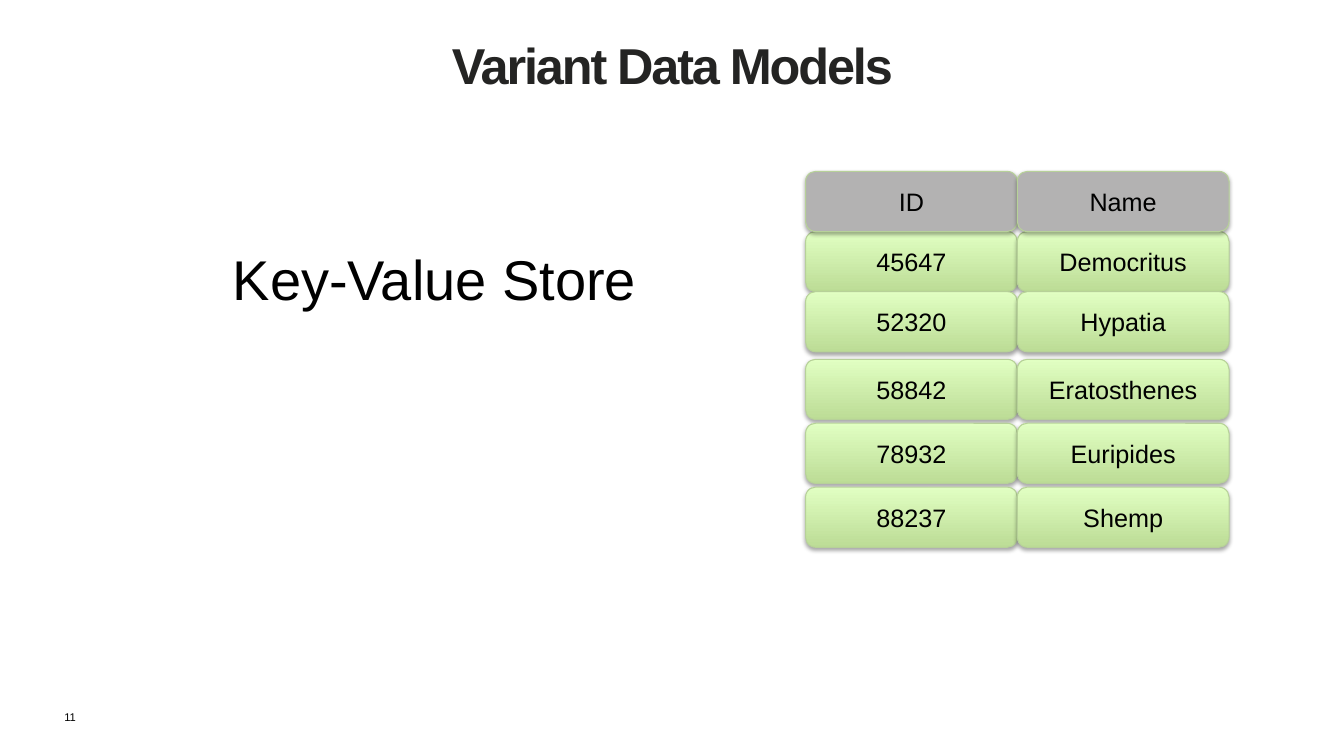
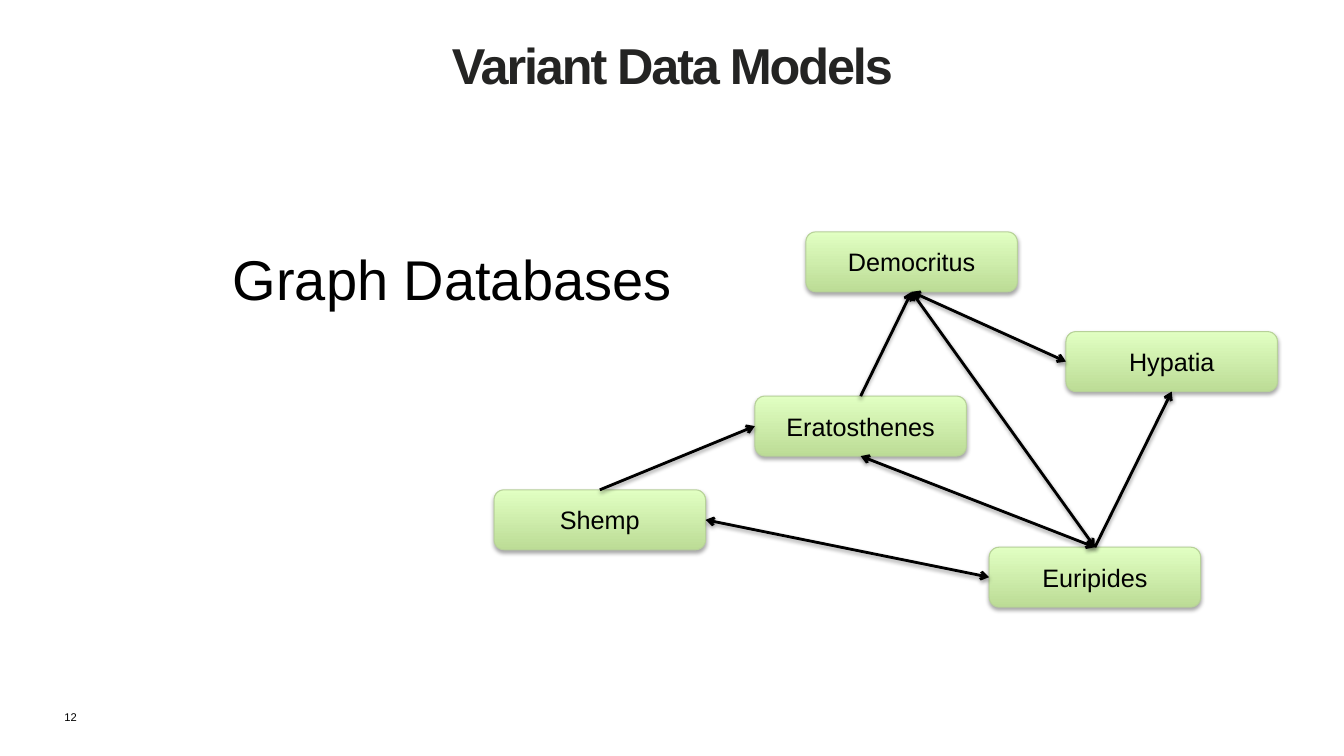
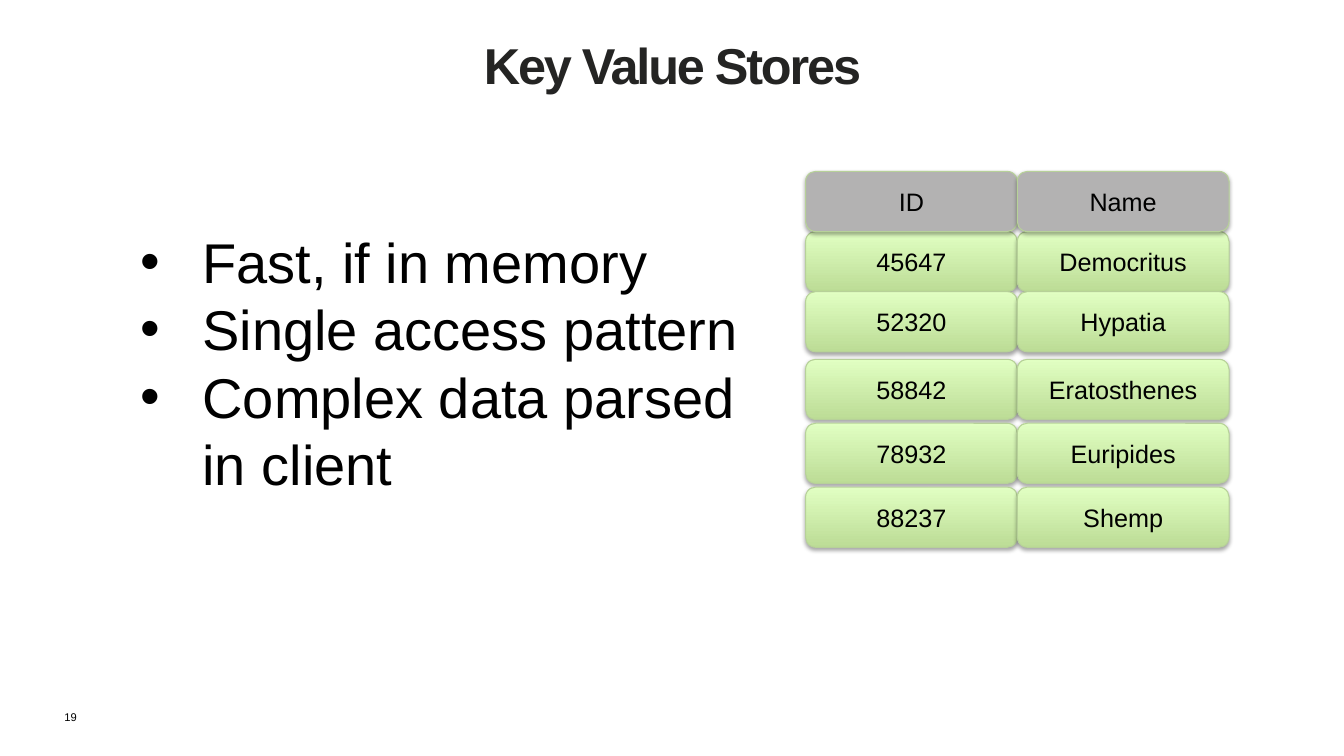
import dataclasses

import pptx
import pptx.dml.color
import pptx.enum.shapes
import pptx.enum.text
import pptx.oxml
import pptx.oxml.ns
import pptx.util

ALIGN = pptx.enum.text.PP_ALIGN
ANCHOR = pptx.enum.text.MSO_ANCHOR
TOP, LEFT, BOTTOM, RIGHT = range(4)


@dataclasses.dataclass(frozen=True)
class Theme:
    font: str = "Arial"
    ink: str = "000000"
    title_ink: str = "242423"
    node_dark: str = "BCDC96"
    node_light: str = "E1FFC2"
    node_edge: str = "B7D199"
    header_fill: str = "B3B2B2"
    title_size: float = 36
    title_tracking: float = -1.5
    body_size: float = 40
    node_size: float = 18
    number_size: float = 8
    edge_width: float = 0.75
    arrow_width: float = 2


@dataclasses.dataclass(frozen=True)
class Box:
    """A rectangle in inches."""
    left: float
    top: float
    width: float
    height: float

    def area(self, left, top, width, height):
        """Return the box at these percentages of this one."""
        return Box(self.left + self.width * left / 100,
                   self.top + self.height * top / 100,
                   self.width * width / 100, self.height * height / 100)

    def emu(self):
        return [pptx.util.Inches(side) for side in dataclasses.astuple(self)]


THEME = Theme()
PAGE = Box(0, 0, 13.33, 7.5)
TITLE = PAGE.area(5.03, 0.13, 90.02, 16.67)
NUMBER = PAGE.area(4.05, 93.33, 3, 3.2)
HEADING = PAGE.area(16.58, 31.73, 36, 10.27)
BULLETS = PAGE.area(9.68, 29.47, 48.31, 37.2)
STORE = PAGE.area(59.94, 22.67, 31.51, 49.73)
GRAPH = PAGE.area(36.76, 30.67, 58.29, 49.6)

PEOPLE = [("45647", "Democritus"), ("52320", "Hypatia"), ("58842", "Eratosthenes"),
          ("78932", "Euripides"), ("88237", "Shemp")]
STORE_ROW_HEIGHT = 16
STORE_ROW_TOPS = [16, 32, 50, 67, 84]

NODE_SIZE = (27, 16)
NODE_CORNERS = {"Eratosthenes": (33.3, 43.8), "Democritus": (39.8, 0), "Hypatia": (73, 26.6),
                "Shemp": (0, 68.8), "Euripides": (63.2, 84.1)}
# start, its side, end, its side, arrowheads at both ends
LINKS = [("Euripides", LEFT, "Shemp", RIGHT, True),
         ("Euripides", TOP, "Eratosthenes", BOTTOM, True),
         ("Euripides", TOP, "Hypatia", BOTTOM, False),
         ("Eratosthenes", TOP, "Democritus", BOTTOM, False),
         ("Hypatia", LEFT, "Democritus", BOTTOM, True),
         ("Shemp", TOP, "Eratosthenes", LEFT, False),
         ("Euripides", TOP, "Democritus", BOTTOM, True)]


def rgb(value):
    return pptx.dml.color.RGBColor.from_string(value)


def add_xml(parent, tag, **attributes):
    element = parent.makeelement(pptx.oxml.ns.qn(tag), attributes)
    parent.append(element)
    return element


def add_shadow(shape, opacity, distance):
    properties = shape._element.spPr
    effects = properties.find(pptx.oxml.ns.qn("a:effectLst"))
    if effects is None:
        effects = add_xml(properties, "a:effectLst")
    shadow = add_xml(effects, "a:outerShdw", blurRad=str(pptx.util.Pt(3.1)),
                     dist=str(pptx.util.Pt(distance)), dir="5400000", rotWithShape="0")
    colour = add_xml(shadow, "a:srgbClr", val=THEME.ink)
    add_xml(colour, "a:alpha", val=str(opacity * 1000))


def write(frame, *lines, size, colour=THEME.ink, bold=False, align=ALIGN.LEFT,
          anchor=ANCHOR.TOP, tracking=0, bullet=None, indent=0.62):
    """Fill a text frame with one paragraph per line."""
    frame.word_wrap = True
    frame.vertical_anchor = anchor
    for index, line in enumerate(lines):
        paragraph = frame.add_paragraph() if index else frame.paragraphs[0]
        paragraph.alignment = align
        run = paragraph.add_run()
        run.text = line
        run.font.name = THEME.font
        run.font.size = pptx.util.Pt(size)
        run.font.bold = bold
        run.font.color.rgb = rgb(colour)
        if tracking:
            run._r.get_or_add_rPr().set("spc", str(round(tracking * 100)))
        if bullet:
            properties = paragraph._p.get_or_add_pPr()
            hang = pptx.util.Inches(indent)
            properties.set("marL", str(hang))
            properties.set("indent", str(-hang))
            add_xml(properties, "a:buFont", typeface=THEME.font)
            add_xml(properties, "a:buChar", char=bullet)


def add_text(slide, box, *lines, **style):
    write(slide.shapes.add_textbox(*box.emu()).text_frame, *lines, **style)


def add_node(slide, box, label, header=False):
    node = slide.shapes.add_shape(
        pptx.enum.shapes.MSO_SHAPE.ROUNDED_RECTANGLE, *box.emu())
    if header:
        node.fill.solid()
        node.fill.fore_color.rgb = rgb(THEME.header_fill)
    else:
        node.fill.gradient()
        node.fill.gradient_angle = 90
        for stop, colour in zip(node.fill.gradient_stops, (THEME.node_dark, THEME.node_light)):
            stop.color.rgb = rgb(colour)
    node.line.color.rgb = rgb(THEME.node_edge)
    node.line.width = pptx.util.Pt(THEME.edge_width)
    node.shadow.inherit = False
    add_shadow(node, opacity=35, distance=1.8)
    write(node.text_frame, label, size=THEME.node_size, align=ALIGN.CENTER,
          anchor=ANCHOR.MIDDLE)
    return node


def add_link(slide, start, start_side, end, end_side, both_ways):
    link = slide.shapes.add_connector(pptx.enum.shapes.MSO_CONNECTOR.STRAIGHT, 0, 0, 0, 0)
    link.begin_connect(start, start_side)
    link.end_connect(end, end_side)
    link.line.color.rgb = rgb(THEME.ink)
    link.line.width = pptx.util.Pt(THEME.arrow_width)
    for tag in ("a:headEnd", "a:tailEnd") if both_ways else ("a:tailEnd",):
        add_xml(link.line._get_or_add_ln(), tag, type="arrow")
    add_shadow(link, opacity=38, distance=1.6)


def add_store(slide, box):
    """Draw keys and values side by side, the header last so that it lies on top."""
    rows = [(top, person, False) for top, person in zip(STORE_ROW_TOPS, PEOPLE)]
    rows.append((0, ("ID", "Name"), True))
    for top, labels, header in rows:
        for column, label in enumerate(labels):
            add_node(slide, box.area(50 * column, top, 50, STORE_ROW_HEIGHT), label, header)


def add_graph(slide, box):
    nodes = {name: add_node(slide, box.area(*corner, *NODE_SIZE), name)
             for name, corner in NODE_CORNERS.items()}
    for start, start_side, end, end_side, both_ways in LINKS:
        add_link(slide, nodes[start], start_side, nodes[end], end_side, both_ways)


def add_page(deck, number, title):
    slide = deck.slides.add_slide(deck.slide_layouts[6])
    add_text(slide, NUMBER, str(number), size=THEME.number_size)
    add_text(slide, TITLE, title, size=THEME.title_size, colour=THEME.title_ink, bold=True,
             align=ALIGN.CENTER, anchor=ANCHOR.MIDDLE, tracking=THEME.title_tracking)
    return slide


def main():
    deck = pptx.Presentation()
    deck.slide_width = pptx.util.Inches(PAGE.width)
    deck.slide_height = pptx.util.Inches(PAGE.height)

    key_value = add_page(deck, 11, "Variant Data Models")
    add_store(key_value, STORE)
    add_text(key_value, HEADING, "Key-Value Store", size=THEME.body_size)

    graph = add_page(deck, 12, "Variant Data Models")
    add_graph(graph, GRAPH)
    add_text(graph, HEADING, "Graph Databases", size=THEME.body_size)

    traits = add_page(deck, 19, "Key Value Stores")
    add_store(traits, STORE)
    add_text(traits, BULLETS, "Fast, if in memory", "Single access pattern",
             "Complex data parsed in client", size=THEME.body_size, bullet="•")

    deck.save("out.pptx")


if __name__ == "__main__":
    main()
